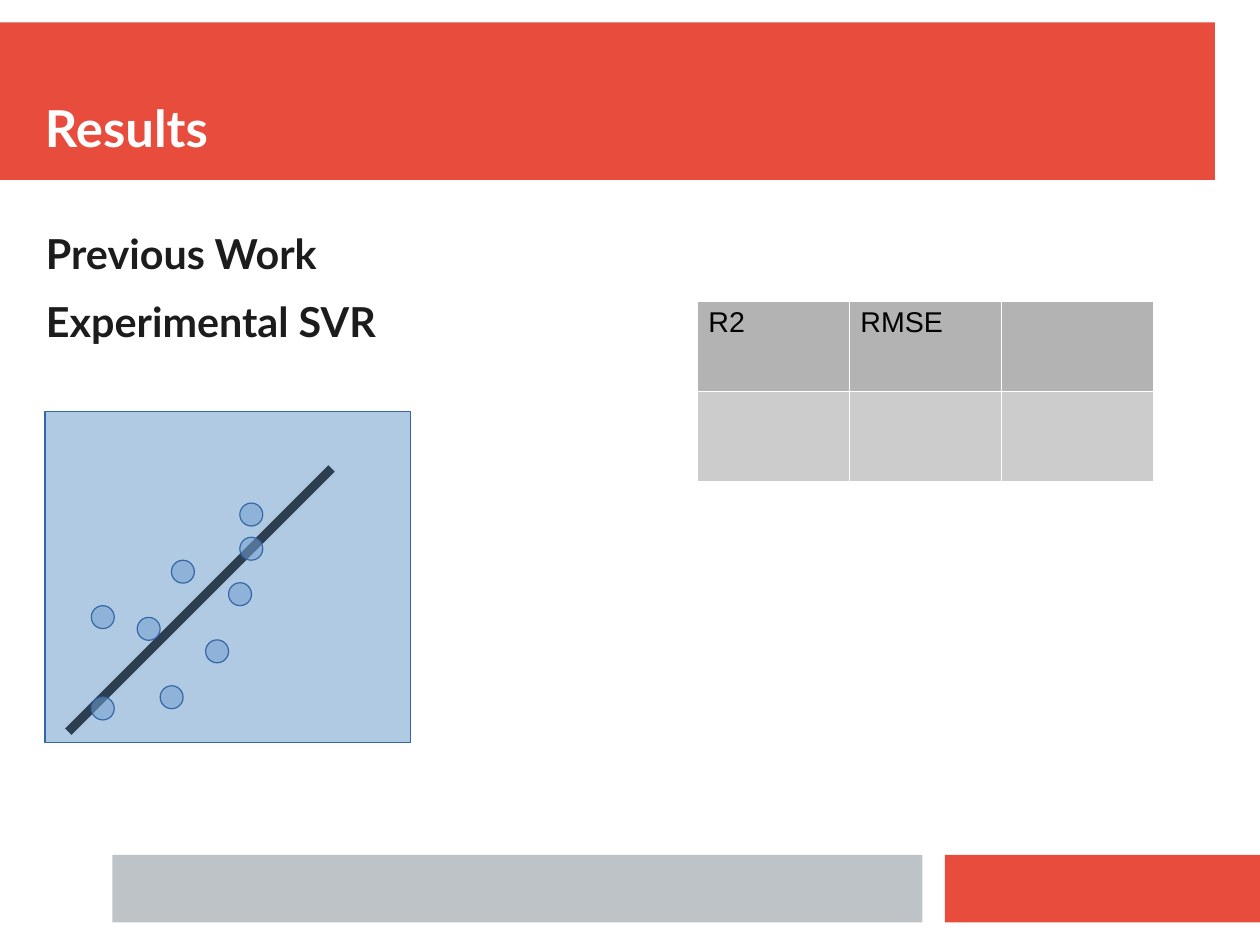
from dataclasses import dataclass

from lxml.etree import SubElement
from pptx import Presentation
from pptx.dml.color import RGBColor
from pptx.enum.shapes import MSO_CONNECTOR, MSO_SHAPE
from pptx.enum.text import MSO_ANCHOR, MSO_AUTO_SIZE, PP_ALIGN
from pptx.oxml import parse_xml
from pptx.oxml.ns import nsdecls, qn
from pptx.shapes.autoshape import Shape
from pptx.slide import Slide
from pptx.util import Emu, Pt

PX = 3600
GRID_STEP = 25.4
COLORS = {
    "red": "E74C3C",
    "silver": "BDC3C7",
    "white": "FFFFFF",
    "ink": "1C1C1C",
    "black": "000000",
    "blue": "729FCF",
    "outline": "3465A4",
    "trend": "2C3E50",
    "header": "B3B3B3",
    "row": "CCCCCC",
}


@dataclass(frozen=True)
class Area:
    left: int
    top: int
    width: int
    height: int

    def emu(self) -> tuple[Emu, ...]:
        return tuple(Emu(value * PX) for value in
                     (self.left, self.top, self.width, self.height))


@dataclass(frozen=True)
class Band:
    area: Area
    color: str


@dataclass(frozen=True)
class GridPoint:
    column: int
    row: int

    def px(self) -> tuple[int, int]:
        return round(self.column * GRID_STEP), round(self.row * GRID_STEP)


BANDS = [
    Band(Area(0, 50, 2700, 350), "red"),
    Band(Area(2100, 1900, 700, 150), "red"),
    Band(Area(250, 1900, 1800, 150), "silver"),
]
PLOT = Area(100, 914, 813, 737)
DOT_SIZE = 51
DOTS = [
    GridPoint(21, 47), GridPoint(18, 56), GridPoint(8, 53),
    GridPoint(12, 54), GridPoint(14, 60), GridPoint(15, 49),
    GridPoint(21, 44), GridPoint(20, 51), GridPoint(8, 61),
]
TREND = (GridPoint(6, 64), GridPoint(29, 41))
TABLE = Area(1549, 668, 1013, 400)
TABLE_ROWS = [("header", ["R2", "RMSE", ""]), ("row", ["", "", ""])]


def rgb(color: str) -> RGBColor:
    return RGBColor.from_string(COLORS[color])


def add_shape(page: Slide, kind: MSO_SHAPE, area: Area, color: str) -> Shape:
    shape = page.shapes.add_shape(kind, *area.emu())
    shape.shadow.inherit = False
    shape.fill.solid()
    shape.fill.fore_color.rgb = rgb(color)
    shape.line.fill.background()
    return shape


def add_glass(page: Slide, kind: MSO_SHAPE, area: Area) -> None:
    shape = add_shape(page, kind, area, "blue")
    fill_color = shape._element.spPr.find(qn("a:solidFill"))[0]
    SubElement(fill_color, qn("a:alpha"), val="55000")
    shape.line.color.rgb = rgb("outline")
    shape.line.width = Pt(0.75)


def add_trend(page: Slide, start: GridPoint, end: GridPoint) -> None:
    ends = [Emu(value * PX) for value in (*start.px(), *end.px())]
    line = page.shapes.add_connector(MSO_CONNECTOR.STRAIGHT, *ends)
    line.line.color.rgb = rgb("trend")
    line.line.width = Pt(5.67)
    SubElement(line._element.spPr, qn("a:effectLst"))


def fill_placeholder(box: Shape, area: Area, lines: list[str], size: int,
                     color: str, anchor: MSO_ANCHOR, after: float) -> None:
    box.left, box.top, box.width, box.height = area.emu()
    frame = box.text_frame
    frame.word_wrap = True
    frame.auto_size = MSO_AUTO_SIZE.NONE
    frame.vertical_anchor = anchor
    frame.margin_left = frame.margin_right = 0
    frame.margin_top = frame.margin_bottom = 0
    for index, line in enumerate(lines):
        para = frame.add_paragraph() if index else frame.paragraphs[0]
        properties = para._p.get_or_add_pPr()
        properties.set("marL", "0")
        properties.set("indent", "0")
        SubElement(properties, qn("a:buNone"))
        para.alignment = PP_ALIGN.LEFT
        para.space_before = Pt(0)
        para.space_after = Pt(after)
        span = para.add_run()
        span.text = line
        span.font.name = "Lato"
        span.font.size = Pt(size)
        span.font.bold = True
        span.font.color.rgb = rgb(color)


def add_scores(page: Slide) -> None:
    table = page.shapes.add_table(
        len(TABLE_ROWS), len(TABLE_ROWS[0][1]), *TABLE.emu()).table
    table.first_row = False
    table.horz_banding = False
    for row, (color, texts) in enumerate(TABLE_ROWS):
        for column, text in enumerate(texts):
            cell = table.cell(row, column)
            cell.fill.solid()
            cell.fill.fore_color.rgb = rgb(color)
            properties = cell._tc.get_or_add_tcPr()
            for position, side in enumerate(("lnL", "lnR", "lnT", "lnB")):
                properties.insert(position, parse_xml(
                    f'<a:{side} {nsdecls("a")} w="762"><a:solidFill>'
                    f'<a:srgbClr val="{COLORS["white"]}"/>'
                    f'</a:solidFill></a:{side}>'))
            if text:
                span = cell.text_frame.paragraphs[0].add_run()
                span.text = text
                span.font.name = "Arial"
                span.font.size = Pt(18)
                span.font.bold = False
                span.font.color.rgb = rgb("black")


def main() -> None:
    deck = Presentation()
    deck.slide_width = Emu(2800 * PX)
    deck.slide_height = Emu(2100 * PX)
    page = deck.slides.add_slide(deck.slide_layouts[1])
    title, body = page.shapes.title, page.placeholders[1]
    for band in BANDS:
        add_shape(page, MSO_SHAPE.RECTANGLE, band.area, band.color)
    for box in (title, body):
        page.shapes._spTree.append(box._element)
    fill_placeholder(title, Area(100, 100, 2600, 250), ["Results"],
                     32, "white", MSO_ANCHOR.BOTTOM, 0)
    fill_placeholder(body, Area(102, 508, 2550, 1300),
                     ["Previous Work", "Experimental SVR"],
                     26, "ink", MSO_ANCHOR.TOP, 11.4)
    add_glass(page, MSO_SHAPE.RECTANGLE, PLOT)
    add_trend(page, *TREND)
    for dot in DOTS:
        add_glass(page, MSO_SHAPE.OVAL, Area(*dot.px(), DOT_SIZE, DOT_SIZE))
    add_scores(page)
    deck.save("out.pptx")


if __name__ == "__main__":
    main()
